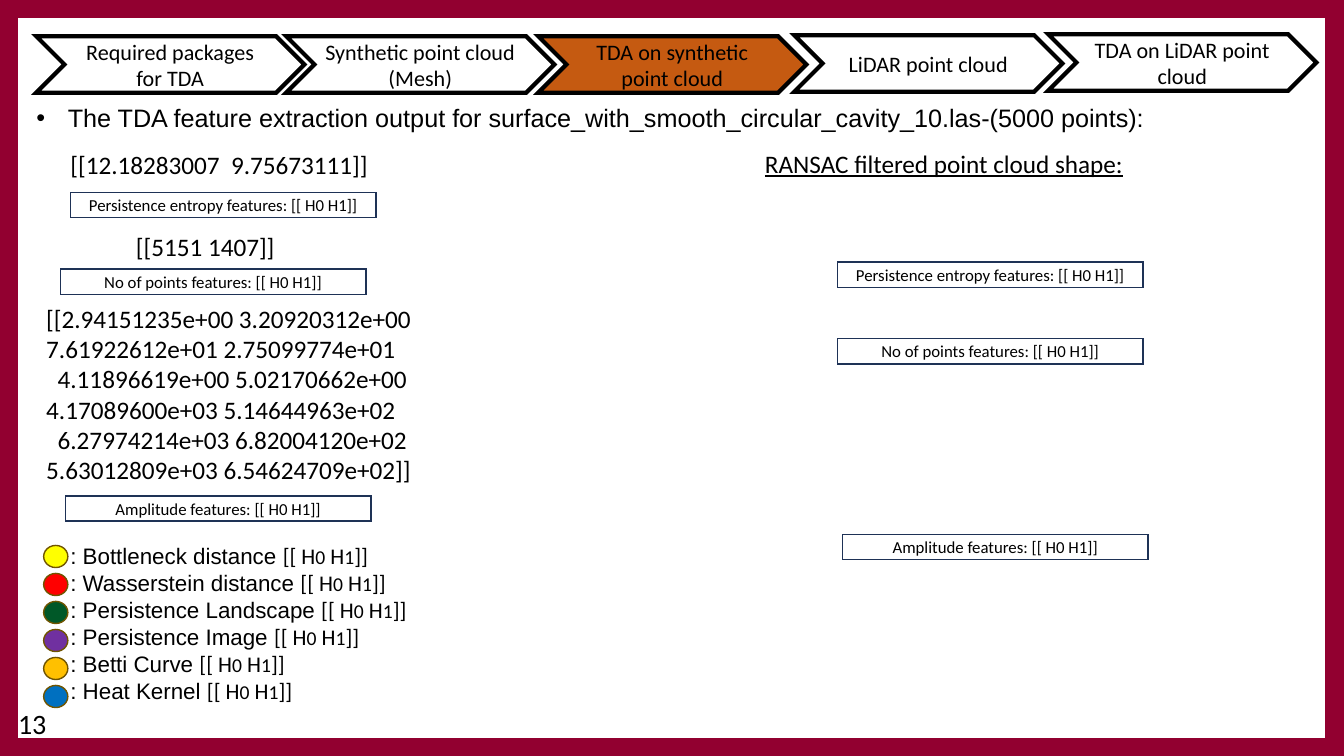
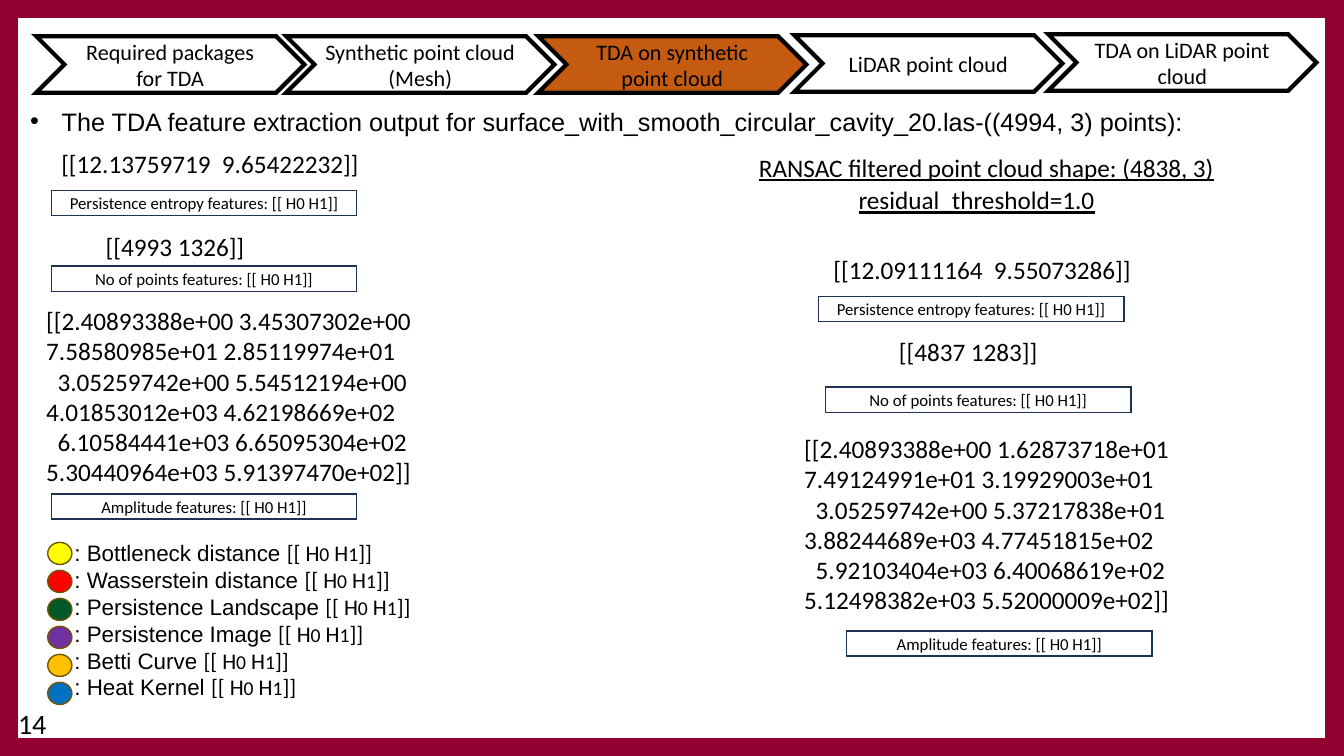
from dataclasses import dataclass

import pptx
import pptx.dml.color
import pptx.enum.shapes
import pptx.enum.text
import pptx.oxml.ns
import pptx.util
from lxml import etree

Pt = pptx.util.Pt
RGBColor = pptx.dml.color.RGBColor
MSO_SHAPE = pptx.enum.shapes.MSO_SHAPE
PP_ALIGN = pptx.enum.text.PP_ALIGN
MSO_ANCHOR = pptx.enum.text.MSO_ANCHOR

BLACK = RGBColor(0x00, 0x00, 0x00)
WHITE = RGBColor(0xFF, 0xFF, 0xFF)
MAROON = RGBColor(0x92, 0x00, 0x30)
ORANGE = RGBColor(0xC5, 0x5A, 0x11)
NAVY = RGBColor(0x1E, 0x32, 0x56)
BROWN = RGBColor(0x70, 0x54, 0x00)
YELLOW = RGBColor(0xFF, 0xFF, 0x00)
RED = RGBColor(0xFF, 0x00, 0x00)
GREEN = RGBColor(0x00, 0x58, 0x28)
PURPLE = RGBColor(0x70, 0x30, 0xA0)
GOLD = RGBColor(0xFF, 0xC0, 0x00)
BLUE = RGBColor(0x00, 0x70, 0xC0)

BODY_FONT = "Calibri"
HEAD_FONT = "Arial"

ENTROPY = "Persistence entropy features: [[ H0 H1]]"
POINTS = "No of points features: [[ H0 H1]]"
AMPLITUDE = "Amplitude features: [[ H0 H1]]"

LABEL_W, LABEL_H = 218.2, 18
VALUE_W = 340
STEP_W, STEP_H = 191.5, 40.3
DOT_W, DOT_H, DOT_PITCH = 17.3, 15.8, 20


@dataclass
class Step:
    x: float
    y: float
    lines: tuple[str, ...]
    fill: RGBColor | None = None


@dataclass
class Distance:
    name: str
    color: RGBColor


@dataclass
class Label:
    x: float
    y: float
    text: str


@dataclass
class Value:
    x: float
    y: float
    lines: tuple[str, ...]
    underline: bool = False


@dataclass
class Page:
    number: str
    title: str
    title_at: tuple[float, float]
    legend_at: tuple[float, float]
    labels: list[Label]
    values: list[Value]


STEPS = [
    Step(25.9, 25.9, ("Required packages for TDA",)),
    Step(204.5, 25.9, ("Synthetic point cloud", "(Mesh)"), WHITE),
    Step(384.5, 25.9, ("TDA on synthetic point cloud",), ORANGE),
    Step(567.4, 25.2, ("LiDAR point cloud",)),
    Step(748.8, 24.5, ("TDA on LiDAR point cloud",)),
]

DISTANCES = [
    Distance("Bottleneck distance", YELLOW),
    Distance("Wasserstein distance", RED),
    Distance("Persistence Landscape", GREEN),
    Distance("Persistence Image", PURPLE),
    Distance("Betti Curve", GOLD),
    Distance("Heat Kernel", BLUE),
]

PAGES = [
    Page(
        "13",
        "The TDA feature extraction output for "
        "surface_with_smooth_circular_cavity_10.las-(5000 points):",
        (-17.3, 69.8),
        (7.2, 383.8),
        [
            Label(50.4, 137.5, ENTROPY),
            Label(43.2, 192.2, POINTS),
            Label(46.8, 354.2, AMPLITUDE),
            Label(598.3, 187.2, ENTROPY),
            Label(598.3, 241.9, POINTS),
            Label(601.9, 381.6, AMPLITUDE),
        ],
        [
            Value(43.2, 103, ("[[12.18283007  9.75673111]]",)),
            Value(90, 162, ("[[5151 1407]]",)),
            Value(25.9, 213.1, (
                "[[2.94151235e+00 3.20920312e+00 7.61922612e+01 2.75099774e+01",
                "4.11896619e+00 5.02170662e+00 4.17089600e+03 5.14644963e+02",
                "6.27974214e+03 6.82004120e+02 5.63012809e+03 6.54624709e+02]]",
            )),
            Value(539.3, 102.2, ("RANSAC filtered point cloud shape:",), True),
        ],
    ),
    Page(
        "14",
        "The TDA feature extraction output for "
        "surface_with_smooth_circular_cavity_20.las-((4994, 3) points):",
        (-21.6, 72),
        (10.1, 381.6),
        [
            Label(36.7, 136.1, ENTROPY),
            Label(36.7, 190.1, POINTS),
            Label(36.7, 352.8, AMPLITUDE),
            Label(584.6, 211.7, ENTROPY),
            Label(589.7, 276.5, POINTS),
            Label(604.8, 450.7, AMPLITUDE),
        ],
        [
            Value(36.7, 102.2, ("[[12.13759719  9.65422232]]",)),
            Value(68.4, 162, ("[[4993 1326]]",)),
            Value(25.9, 214.6, (
                "[[2.40893388e+00 3.45307302e+00 7.58580985e+01 2.85119974e+01",
                "3.05259742e+00 5.54512194e+00 4.01853012e+03 4.62198669e+02",
                "6.10584441e+03 6.65095304e+02 5.30440964e+03 5.91397470e+02]]",
            )),
            Value(535, 105.1, ("RANSAC filtered point cloud shape: (4838, 3)",), True),
            Value(606.2, 128.2, ("residual_threshold=1.0",), True),
            Value(588.2, 177.8, ("[[12.09111164  9.55073286]]",)),
            Value(635, 236.9, ("[[4837 1283]]",)),
            Value(567.4, 306, (
                "[[2.40893388e+00 1.62873718e+01 7.49124991e+01 3.19929003e+01",
                "3.05259742e+00 5.37217838e+01 3.88244689e+03 4.77451815e+02",
                "5.92103404e+03 6.40068619e+02 5.12498382e+03 5.52000009e+02]]",
            )),
        ],
    ),
]


def add_run(p, text: str, size: float, font: str = BODY_FONT, underline: bool | None = None) -> None:
    r = p.add_run()
    r.text = text
    r.font.size = Pt(size)
    r.font.name = font
    r.font.color.rgb = BLACK
    r.font.underline = underline


def next_paragraph(tf, index: int):
    return tf.add_paragraph() if index else tf.paragraphs[0]


def set_indent(p, left: float, first: float = 0):
    pPr = p._p.get_or_add_pPr()
    pPr.set("marL", str(int(Pt(left))))
    pPr.set("indent", str(int(Pt(first))))
    return pPr


def add_outlined(s, kind, x: float, y: float, w: float, h: float,
                 line: RGBColor, weight: float, fill: RGBColor | None = None):
    sp = s.shapes.add_shape(kind, Pt(x), Pt(y), Pt(w), Pt(h))
    sp.shadow.inherit = False
    if fill is None:
        sp.fill.background()
    else:
        sp.fill.solid()
        sp.fill.fore_color.rgb = fill
    sp.line.color.rgb = line
    sp.line.width = Pt(weight)
    miter = etree.SubElement(sp.line._get_or_add_ln(), pptx.oxml.ns.qn("a:miter"))
    miter.set("lim", "800000")
    return sp


def center_text(sp, lines: tuple[str, ...], size: float, inset: float) -> None:
    tf = sp.text_frame
    tf.word_wrap = True
    tf.vertical_anchor = MSO_ANCHOR.MIDDLE
    tf.margin_left = tf.margin_right = Pt(inset)
    tf.margin_top = tf.margin_bottom = 0
    for i, line in enumerate(lines):
        p = next_paragraph(tf, i)
        p.alignment = PP_ALIGN.CENTER
        add_run(p, line, size)


def add_text_frame(s, x: float, y: float, w: float, h: float):
    tf = s.shapes.add_textbox(Pt(x), Pt(y), Pt(w), Pt(h)).text_frame
    tf.word_wrap = True
    return tf


def set_title(s, page: Page) -> None:
    sp = s.shapes.title
    x, y = page.title_at
    sp.left, sp.top, sp.width, sp.height = Pt(x), Pt(y), Pt(926), Pt(30)
    tf = sp.text_frame
    tf.word_wrap = True
    tf.auto_size = pptx.enum.text.MSO_AUTO_SIZE.NONE
    tf.vertical_anchor = MSO_ANCHOR.TOP
    p = tf.paragraphs[0]
    p.alignment = PP_ALIGN.LEFT
    pPr = set_indent(p, 58.5, -22.5)
    etree.SubElement(pPr, pptx.oxml.ns.qn("a:buFont")).set("typeface", HEAD_FONT)
    etree.SubElement(pPr, pptx.oxml.ns.qn("a:buChar")).set("char", "•")
    add_run(p, page.title, 18, HEAD_FONT)


def add_step(s, step: Step) -> None:
    sp = add_outlined(s, MSO_SHAPE.CHEVRON, step.x, step.y, STEP_W, STEP_H, BLACK, 3, step.fill)
    center_text(sp, step.lines, 15.8, 6.5)


def add_label(s, label: Label) -> None:
    sp = add_outlined(s, MSO_SHAPE.RECTANGLE, label.x, label.y, LABEL_W, LABEL_H, NAVY, 1)
    center_text(sp, (label.text,), 12, 7.2)


def add_value(s, value: Value) -> None:
    rows = 1 if len(value.lines) == 1 else 2 * len(value.lines)
    tf = add_text_frame(s, value.x, value.y, VALUE_W, 7.2 + 22 * rows)
    for i, line in enumerate(value.lines):
        p = next_paragraph(tf, i)
        if i:
            set_indent(p, 0, 8.2)
        add_run(p, line, 18, underline=value.underline or None)


def add_legend(s, x: float, y: float) -> None:
    tf = add_text_frame(s, x, y, 324, 123.8)
    for i, distance in enumerate(DISTANCES):
        p = next_paragraph(tf, i)
        set_indent(p, 36)
        add_run(p, f": {distance.name} ", 16, HEAD_FONT)
        for text, size in (("[[ H", 16), ("0", 14), (" H", 16), ("1", 14), ("]]", 16)):
            add_run(p, text, size)
        add_outlined(s, MSO_SHAPE.OVAL, x + 24, y + 5.8 + i * DOT_PITCH,
                     DOT_W, DOT_H, BROWN, 1, distance.color)


def add_page(prs, page: Page) -> None:
    s = prs.slides.add_slide(prs.slide_layouts[5])
    add_outlined(s, MSO_SHAPE.RECTANGLE, 6.5, 6.5, 946.8, 527, MAROON, 13.25)
    set_title(s, page)
    number = add_text_frame(s, 5.8, 501.1, 480, 31.7)
    add_run(number.paragraphs[0], page.number, 20)
    for step in STEPS:
        add_step(s, step)
    for label in page.labels:
        add_label(s, label)
    for value in page.values:
        add_value(s, value)
    add_legend(s, *page.legend_at)


def main() -> None:
    prs = pptx.Presentation()
    prs.slide_width, prs.slide_height = Pt(960), Pt(540)
    for page in PAGES:
        add_page(prs, page)
    prs.save("out.pptx")


if __name__ == "__main__":
    main()
